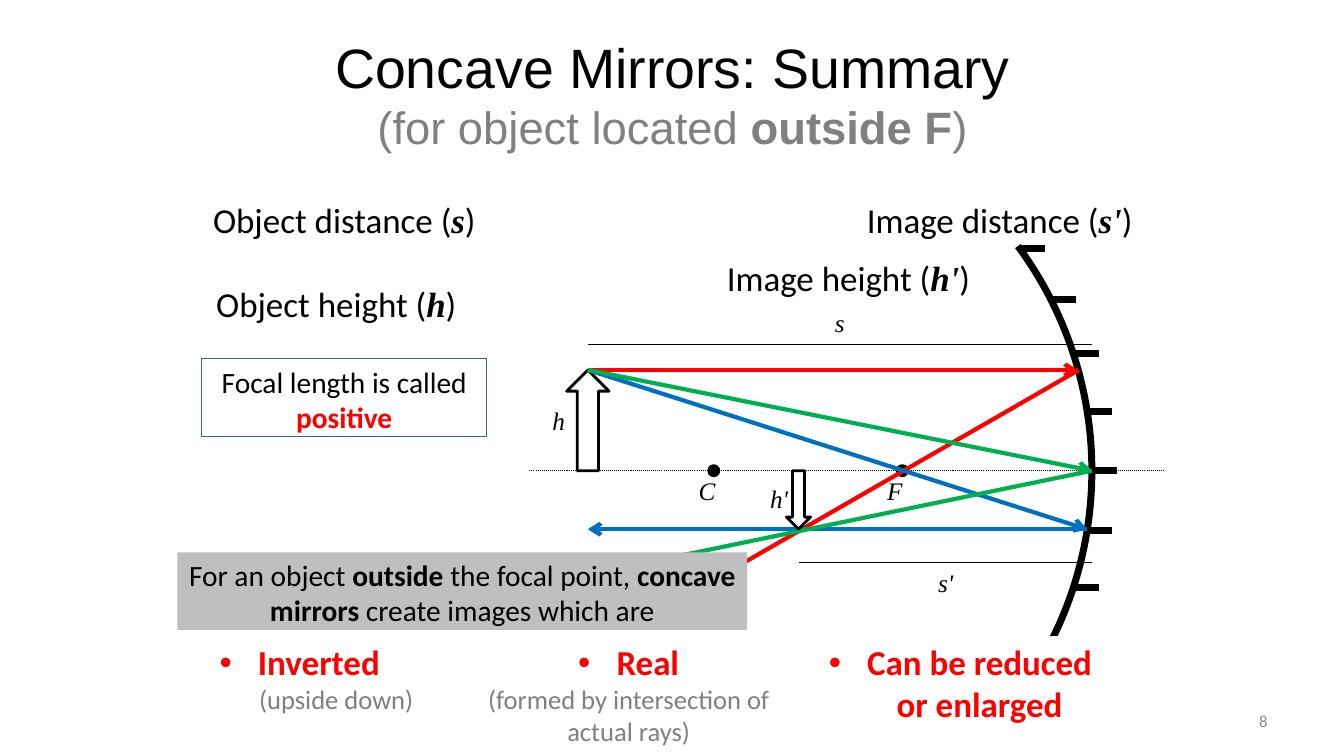
"""Build the concave mirror summary slide with its ray diagram."""
from dataclasses import dataclass
from math import sqrt
from typing import NamedTuple, Optional

from lxml.etree import SubElement
from pptx import Presentation
from pptx.dml.color import RGBColor
from pptx.enum.dml import MSO_LINE
from pptx.enum.shapes import MSO_CONNECTOR, MSO_SHAPE
from pptx.enum.text import MSO_ANCHOR, PP_ALIGN
from pptx.oxml.ns import qn
from pptx.util import Inches, Pt


@dataclass(frozen=True)
class Theme:
    """Colours, fonts and type sizes of the slide."""
    black: str = "000000"
    white: str = "FFFFFF"
    red: str = "FF0000"
    blue: str = "0070C0"
    green: str = "00B050"
    gray: str = "808080"
    number_gray: str = "8C8C8C"
    panel: str = "BFBFBF"
    frame: str = "376092"
    heading: str = "Arial"
    body: str = "Calibri"
    symbol: str = "Times New Roman"
    title_size: float = 39.6
    subtitle_size: float = 32.4
    term_size: float = 25
    statement_size: float = 21
    detail_size: float = 19
    label_size: float = 18
    number_size: float = 12
    thin: float = 0.75
    outline: float = 2
    ray: float = 3
    mirror: float = 5


THEME = Theme()


class Point(NamedTuple):
    """A place on the slide in inches."""
    x: float
    y: float


class Box(NamedTuple):
    """A frame on the slide in inches."""
    left: float
    top: float
    width: float
    height: float


@dataclass(frozen=True)
class Span:
    """A stretch of text in one format."""
    text: str
    size: float
    color: str = THEME.black
    font: str = THEME.body
    bold: bool = False
    italic: bool = False


@dataclass(frozen=True)
class Line:
    """A paragraph of spans."""
    spans: tuple
    align: PP_ALIGN = PP_ALIGN.CENTER
    bullet: bool = False


@dataclass(frozen=True)
class Block:
    """A framed piece of text."""
    box: Box
    lines: tuple
    fill: Optional[str] = None
    border: Optional[str] = None
    anchor: MSO_ANCHOR = MSO_ANCHOR.TOP


@dataclass(frozen=True)
class Stroke:
    """A straight line of the diagram."""
    start: Point
    end: Point
    color: str = THEME.black
    width: float = THEME.thin
    arrow: bool = False
    dotted: bool = False


def write(paragraph, text: str, *, size: float, color: str, font: str, bold: bool, italic: bool) -> None:
    """Add text to a paragraph, with line breaks where it has them."""
    for index, piece in enumerate(text.split("\n")):
        if index:
            paragraph.add_line_break()
        if piece:
            run = paragraph.add_run()
            run.text = piece
            run.font.size, run.font.name = Pt(size), font
            run.font.bold, run.font.italic = bold, italic
            run.font.color.rgb = RGBColor.from_string(color)


def add_bullet(paragraph) -> None:
    """Give a paragraph a hanging bullet."""
    properties = paragraph._p.get_or_add_pPr()
    properties.set("marL", str(Inches(0.38)))
    properties.set("indent", str(-Inches(0.38)))
    SubElement(properties, qn("a:buFont"), typeface=THEME.heading)
    SubElement(properties, qn("a:buChar"), char="•")


def add_block(slide, block: Block) -> None:
    """Draw a piece of text with its fill and border."""
    panel = slide.shapes.add_textbox(*map(Inches, block.box))
    if block.fill:
        panel.fill.solid()
        panel.fill.fore_color.rgb = RGBColor.from_string(block.fill)
    if block.border:
        panel.line.color.rgb = RGBColor.from_string(block.border)
        panel.line.width = Pt(THEME.thin)
    frame = panel.text_frame
    frame.word_wrap, frame.vertical_anchor = True, block.anchor
    for index, line in enumerate(block.lines):
        paragraph = frame.add_paragraph() if index else frame.paragraphs[0]
        paragraph.alignment = line.align
        if line.bullet:
            add_bullet(paragraph)
        for span in line.spans:
            write(paragraph, span.text, size=span.size, color=span.color,
                  font=span.font, bold=span.bold, italic=span.italic)


def add_stroke(slide, stroke: Stroke) -> None:
    """Draw a straight line, with an arrowhead if it has one."""
    ends = map(Inches, (*stroke.start, *stroke.end))
    connector = slide.shapes.add_connector(MSO_CONNECTOR.STRAIGHT, *ends)
    connector.line.color.rgb = RGBColor.from_string(stroke.color)
    connector.line.width = Pt(stroke.width)
    if stroke.dotted:
        connector.line.dash_style = MSO_LINE.ROUND_DOT
    if stroke.arrow:
        SubElement(connector.line._get_or_add_ln(), qn("a:tailEnd"), type="arrow")
    SubElement(connector._element.spPr, qn("a:effectLst"))


def add_outline(slide, kind: MSO_SHAPE, box: Box, width: float, fill: Optional[str] = None):
    """Draw a black outlined preset shape and return it."""
    figure = slide.shapes.add_shape(kind, *map(Inches, box))
    figure.shadow.inherit = False
    figure.line.color.rgb = RGBColor.from_string(THEME.black)
    figure.line.width = Pt(width)
    if fill:
        figure.fill.solid()
        figure.fill.fore_color.rgb = RGBColor.from_string(fill)
    else:
        figure.fill.background()
    return figure


def add_diagram(slide) -> None:
    """Draw the mirror, the object, its image and the rays."""
    center, radius = Point(7.08, 4.67), 3.75
    tip, vertex = Point(5.83, 3.67), Point(10.83, 4.67)
    low_hit = Point(10.78, 5.25)
    for stroke in (
        Stroke(Point(5.25, 4.67), Point(11.54, 4.67), dotted=True),
        Stroke(Point(7.92, 5.58), Point(10.83, 5.58)),
        Stroke(Point(5.83, 3.42), Point(10.83, 3.42)),
    ):
        add_stroke(slide, stroke)
    for y in (2.47, 2.97, 3.51, 4.08, 4.67, 5.26, 5.83):
        x = center.x + sqrt(radius ** 2 - (y - center.y) ** 2)
        add_stroke(slide, Stroke(Point(x, y), Point(x + 0.25, y), width=THEME.mirror))
    arc = add_outline(slide, MSO_SHAPE.ARC, Box(center.x - radius, center.y - radius,
                                                2 * radius, 2 * radius), THEME.mirror)
    arc.adjustments[0], arc.adjustments[1] = 194.13, 21.853
    for x in (7.03, 8.9):
        add_outline(slide, MSO_SHAPE.OVAL, Box(x, 4.62, 0.1, 0.1), THEME.outline, THEME.black)
    upright = add_outline(slide, MSO_SHAPE.DOWN_ARROW, Box(5.62, 3.67, 0.42, 1), THEME.outline)
    upright.rotation = 180
    for start, end, color in (
        (tip, Point(10.69, 3.67), THEME.red),
        (Point(10.7, 3.67), Point(6.67, 5.99), THEME.red),
        (tip, low_hit, THEME.blue),
        (low_hit, Point(5.83, 5.25), THEME.blue),
        (tip, vertex, THEME.green),
        (vertex, Point(6.42, 5.58), THEME.green),
    ):
        add_stroke(slide, Stroke(start, end, color, THEME.ray, arrow=True))
    add_outline(slide, MSO_SHAPE.DOWN_ARROW, Box(7.8, 4.67, 0.24, 0.58), THEME.outline)
    for text, left, top, width, align in (
        ("C", 6.83, 4.67, 0.25, PP_ALIGN.LEFT),
        ("F", 8.7, 4.67, 0.25, PP_ALIGN.LEFT),
        ("h", 5.38, 3.97, 0.25, PP_ALIGN.LEFT),
        ("h'", 7.54, 4.75, 0.42, PP_ALIGN.LEFT),
        ("s'", 9.17, 5.58, 0.42, PP_ALIGN.CENTER),
        ("s", 8.12, 3, 0.42, PP_ALIGN.CENTER),
    ):
        label = Span(text, THEME.label_size, font=THEME.symbol, italic=True)
        add_block(slide, Block(Box(left, top, width, 0.4), (Line((label,), align),)))


def term(name: str, symbol: str, left: float, top: float) -> Block:
    """Describe a quantity followed by its symbol in brackets."""
    size = THEME.term_size
    return Block(Box(left, top, 3.17, 0.51), (Line((
        Span(f"{name} (", size),
        Span(symbol, size, font=THEME.symbol, bold=True, italic=True),
        Span(")", size))),))


def trait(name: str, detail: str, box: Box, fill: Optional[str] = THEME.white,
          align: PP_ALIGN = PP_ALIGN.CENTER) -> Block:
    """Describe a property of the image with an optional detail."""
    heading = Line((Span(name, THEME.term_size, THEME.red, bold=True),), align, bullet=True)
    note = Line((Span(detail, THEME.detail_size, THEME.gray),))
    return Block(box, (heading, note) if detail else (heading,), fill)


def statement(*pieces: tuple[str, str, bool]) -> tuple:
    """Describe a sentence made of text, colour and weight."""
    return (Line(tuple(Span(text, THEME.statement_size, color, bold=bold)
                       for text, color, bold in pieces)),)


def main() -> None:
    """Build and save the slide."""
    deck = Presentation()
    deck.slide_width, deck.slide_height = Inches(13.33), Inches(7.5)
    slide = deck.slides.add_slide(deck.slide_layouts[6])
    subtitle = {"size": THEME.subtitle_size, "color": THEME.gray, "font": THEME.heading}
    title = Line((Span("Concave Mirrors: Summary\n", THEME.title_size, font=THEME.heading),
                  Span("(for object located ", **subtitle),
                  Span("outside F", bold=True, **subtitle), Span(")", **subtitle)))
    number = Line((Span("8", THEME.number_size, THEME.number_gray),), PP_ALIGN.RIGHT)
    add_diagram(slide)
    for block in (
        Block(Box(0.67, 0.3, 12, 1.25), (title,), anchor=MSO_ANCHOR.MIDDLE),
        term("Object distance", "s", 1.83, 1.92),
        term("Object height", "h", 1.75, 2.75),
        term("Image distance", "s'", 8.33, 1.92),
        term("Image height", "h'", 6.83, 2.5),
        Block(Box(1.76, 5.48, 5.65, 0.77), statement(
            ("For an object ", THEME.black, False), ("outside", THEME.black, True),
            (" the focal point, ", THEME.black, False), ("concave mirrors ", THEME.black, True),
            ("create images which are", THEME.black, False)), THEME.panel),
        trait("Inverted", "(upside down)", Box(2.08, 6.31, 2.51, 0.81), None, PP_ALIGN.LEFT),
        trait("Real", "(formed by intersection of actual rays)", Box(4.68, 6.31, 3.11, 1.11)),
        trait("Can be reduced or enlarged", "", Box(7.97, 6.31, 3.11, 0.91)),
        Block(Box(2, 3.56, 2.83, 0.77), statement(
            ("Focal length is called ", THEME.black, False), ("positive", THEME.red, True)),
            border=THEME.frame),
        Block(Box(9.56, 6.95, 3.11, 0.4), (number,), anchor=MSO_ANCHOR.MIDDLE),
    ):
        add_block(slide, block)
    deck.save("out.pptx")


if __name__ == "__main__":
    main()
